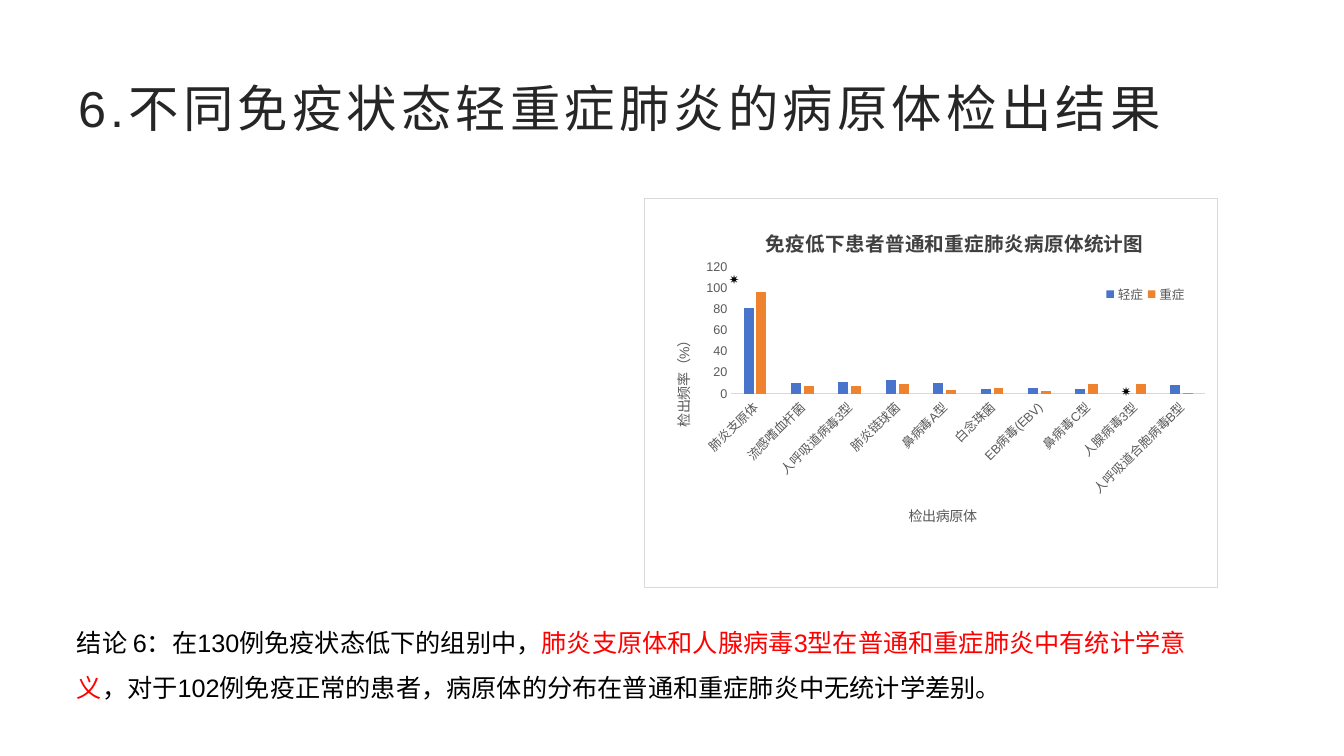
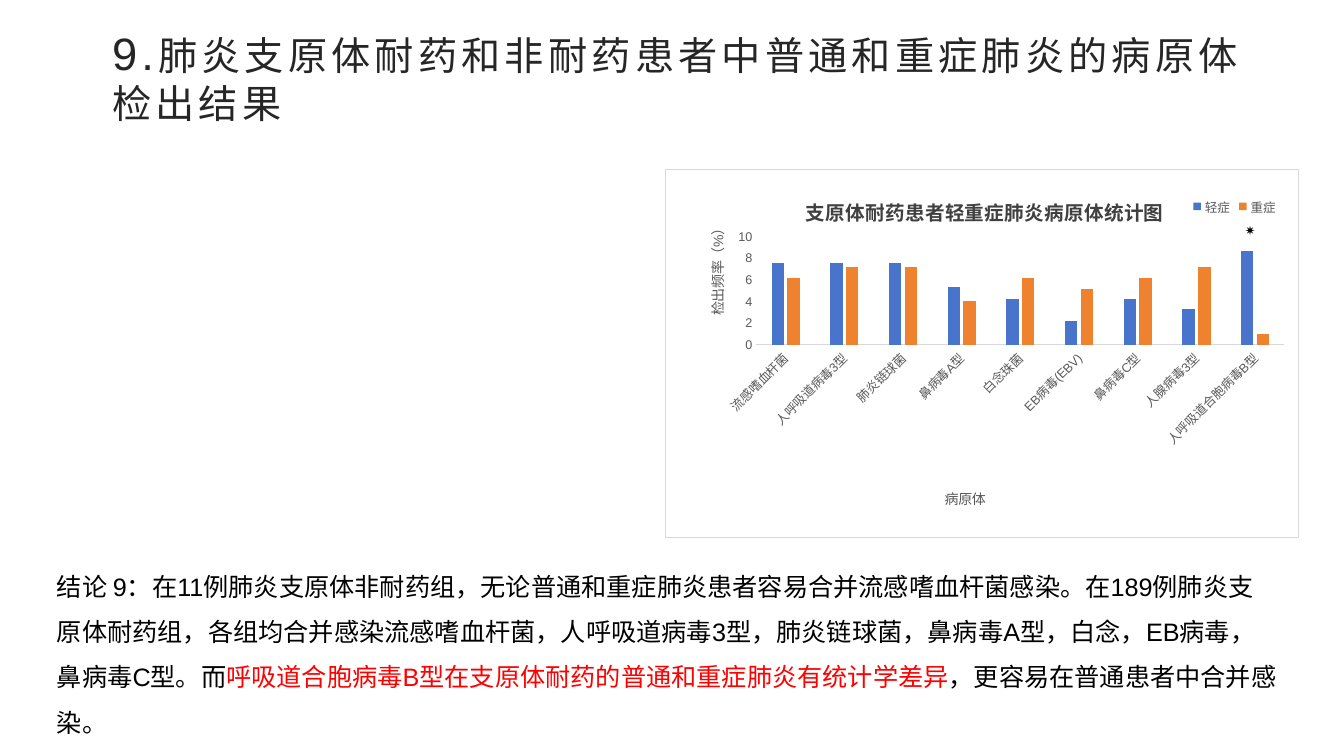
from lxml import etree
from pptx import Presentation
from pptx import util as u
from pptx.chart import data as chart_data
from pptx.dml.color import RGBColor
from pptx.enum import chart as charts, text
from pptx.oxml import parse_xml
from pptx.oxml.ns import nsdecls, qn

PX = 914400 / 100.8
paint = RGBColor.from_string
BLACK, RED, GREY, RULE = "000000", "FF0000", "595959", "D9D9D9"

TITLE = {"name": "Arial", "size": u.Pt(36), "bold": False, "color": "262626"}
BODY = {"name": "Arial", "size": u.Pt(18), "color": BLACK}
STAR = {"name": "Noto Sans CJK SC", "size": u.Pt(9), "color": BLACK}
CHART = {"name": "Arial", "size": u.Pt(10), "color": BLACK}
CHART_TITLE = {"name": "Arial", "size": u.Pt(14), "bold": True, "color": "404040"}
AXIS_TITLE = {"name": "Arial", "size": u.Pt(10), "bold": False, "color": GREY}
LABEL = {"name": "Arial", "size": u.Pt(9), "color": GREY}

PATHOGENS = ["肺炎支原体", "流感嗜血杆菌", "人呼吸道病毒3型", "肺炎链球菌", "鼻病毒A型",
             "白念珠菌", "EB病毒(EBV)", "鼻病毒C型", "人腺病毒3型", "人呼吸道合胞病毒B型"]
SERIES = {"轻症": "4874CB", "重症": "EE822F"}

PAGES = [
    {
        "title": [("6.不同免疫状态轻重症肺炎的病原体检出结果", {})],
        "title_frame": (68, 68, 1210, 78),
        "body": [
            ("结论 6：在130例免疫状态低下的组别中，", {}),
            ("肺炎支原体和人腺病毒3型在普通和重症肺炎中有统计学意义", {"color": RED}),
            ("，对于102例免疫正常的患者，病原体的分布在普通和重症肺炎中无统计学差别。", {}),
        ],
        "body_frame": (67, 607, 1151, 111),
        "chart_frame": (644, 198, 574, 390),
        "chart_title": "免疫低下患者普通和重症肺炎病原体统计图",
        "category_title": "检出病原体",
        "categories": PATHOGENS,
        "values": [(81, 10, 11, 13, 10, 5, 6, 5, 0, 8), (97, 7, 7, 9, 4, 6, 3, 9, 9, 1)],
        "scale": (120, 20),
        "layouts": {
            "c:chart/c:title": (762, 222),
            ".//c:catAx/c:title": (906, 502),
            ".//c:valAx/c:title": (669, 331),
            ".//c:legend": (1102, 284, 88, 20),
            ".//c:plotArea": (731, 267, 475, 127),
        },
        "stars": [(719, 267, 53, 40), (1111, 379, 53, 29)],
    },
    {
        "title": [
            ("9.", {"size": u.Pt(32.4)}),
            ("肺炎支原体耐药和非耐药患者中普通和重症肺炎的病原体检出结果", {"size": u.Pt(28)}),
        ],
        "title_frame": (102, 37, 1177, 78),
        "body": [
            ("结论 9：在11例肺炎支原体非耐药组，无论普通和重症肺炎患者容易合并流感嗜血杆菌感染。"
             "在189例肺炎支原体耐药组，各组均合并感染流感嗜血杆菌，人呼吸道病毒3型，肺炎链球菌，"
             "鼻病毒A型，白念，EB病毒，鼻病毒C型。而", {}),
            ("呼吸道合胞病毒B型在支原体耐药的普通和重症肺炎有统计学差异", {"color": RED}),
            ("，更容易在普通患者中合并感染。", {}),
        ],
        "body_frame": (47, 551, 1241, 183),
        "chart_frame": (665, 169, 634, 369),
        "chart_title": "支原体耐药患者轻重症肺炎病原体统计图",
        "category_title": "病原体",
        "categories": PATHOGENS[1:],
        "values": [(7.6, 7.6, 7.6, 5.4, 4.3, 2.2, 4.3, 3.3, 8.7),
                   (6.2, 7.2, 7.2, 4.1, 6.2, 5.2, 6.2, 7.2, 1)],
        "scale": (10, 2),
        "layouts": {
            "c:chart/c:title": (802, 191),
            ".//c:catAx/c:title": (942, 485),
            ".//c:valAx/c:title": (703, 219),
            ".//c:legend": (1189, 196, 92, 20),
            ".//c:plotArea": (756, 237, 529, 108),
        },
        "stars": [(1235, 218, 53, 40)],
    },
]


def format_font(font, style):
    for key, value in style.items():
        if key == "color":
            font.color.rgb = paint(value)
        else:
            setattr(font, key, value)


def place_part(part, area, frame):
    for old in part.findall(qn("c:layout")):
        part.remove(old)
    layout = parse_xml(f'<c:layout {nsdecls("c")}><c:manualLayout/></c:layout>')
    is_plot = part.tag == qn("c:plotArea")
    settings = [("layoutTarget", "inner")] if is_plot else []
    settings += [("xMode", "edge"), ("yMode", "edge")]
    settings += [("x", (area[0] - frame[0]) / frame[2]), ("y", (area[1] - frame[1]) / frame[3])]
    if len(area) == 4:
        settings += [("w", area[2] / frame[2]), ("h", area[3] / frame[3])]
    for name, value in settings:
        etree.SubElement(layout[0], qn(f"c:{name}")).set("val", str(value))
    if is_plot:
        part.insert(0, layout)
    else:
        part.find(qn("c:overlay")).addprevious(layout)


deck = Presentation()
deck.slide_width, deck.slide_height = round(1344 * PX), round(756 * PX)

for content in PAGES:
    page = deck.slides.add_slide(deck.slide_layouts[5])

    heading = page.shapes.title
    for side, length in zip(("left", "top", "width", "height"), content["title_frame"]):
        setattr(heading, side, round(length * PX))
    heading.text_frame.vertical_anchor = text.MSO_ANCHOR.MIDDLE

    frame = content["chart_frame"]
    table = chart_data.CategoryChartData()
    table.categories = content["categories"]
    for name, values in zip(SERIES, content["values"]):
        table.add_series(name, values)
    chart = page.shapes.add_chart(
        charts.XL_CHART_TYPE.COLUMN_CLUSTERED, *(round(n * PX) for n in frame), table).chart
    format_font(chart.font, CHART)

    plot = chart.plots[0]
    plot.gap_width, plot.overlap, plot.vary_by_categories = 246, -28, False
    for series, color in zip(plot.series, SERIES.values()):
        series.format.fill.solid()
        series.format.fill.fore_color.rgb = paint(color)
        series.invert_if_negative = False

    category_axis, value_axis = chart.category_axis, chart.value_axis
    for owner, label, style in (
            (chart, content["chart_title"], CHART_TITLE),
            (category_axis, content["category_title"], AXIS_TITLE),
            (value_axis, "检出频率（%）", AXIS_TITLE)):
        owner.has_title = True
        title = owner.chart_title if owner is chart else owner.axis_title
        span = title.text_frame.paragraphs[0].add_run()
        span.text = label
        format_font(span.font, style)
    for axis in (category_axis, value_axis):
        axis.has_major_gridlines = False
        axis.major_tick_mark = axis.minor_tick_mark = charts.XL_TICK_MARK.NONE
        format_font(axis.tick_labels.font, LABEL)
    category_axis.format.line.color.rgb = paint(RULE)
    category_axis.format.line.width = u.Pt(0.75)
    value_axis.format.line.fill.background()
    value_axis.minimum_scale = 0
    value_axis.maximum_scale, value_axis.major_unit = content["scale"]

    chart.has_legend = True
    chart.legend.position = charts.XL_LEGEND_POSITION.BOTTOM
    chart.legend.include_in_layout = False
    format_font(chart.legend.font, LABEL)

    root = chart.element
    for query, angle in ((".//c:catAx/c:txPr/a:bodyPr", -45),
                         (".//c:valAx/c:title//a:bodyPr", -90)):
        properties = root.xpath(query)[0]
        properties.set("rot", str(angle * 60000))
        properties.set("vert", "horz")
    for query, area in content["layouts"].items():
        place_part(root.xpath(query)[0], area, frame)
    root.find(qn("c:chart")).addnext(parse_xml(
        f'<c:spPr {nsdecls("c", "a")}><a:solidFill><a:srgbClr val="FFFFFF"/></a:solidFill>'
        f'<a:ln w="9525"><a:solidFill><a:srgbClr val="{RULE}"/></a:solidFill></a:ln></c:spPr>'))

    texts = [(heading, content["title"], TITLE, True, 1.0)]
    boxes = [(content["body_frame"], content["body"], BODY, True, 1.5)]
    boxes += [(area, [("✷", {})], STAR, False, 1.0) for area in content["stars"]]
    for area, spans, style, wrap, spacing in boxes:
        box = page.shapes.add_textbox(*(round(n * PX) for n in area))
        texts.append((box, spans, style, wrap, spacing))
    for box, spans, style, wrap, spacing in texts:
        box.text_frame.word_wrap = wrap
        box.text_frame.auto_size = text.MSO_AUTO_SIZE.NONE
        para = box.text_frame.paragraphs[0]
        para.alignment = text.PP_ALIGN.LEFT
        para.line_spacing = spacing
        for wording, changes in spans:
            span = para.add_run()
            span.text = wording
            format_font(span.font, {**style, **changes})
            if box is heading:
                span.font._element.set("spc", "300") if hasattr(span.font, "_element") else \
                    span._r.get_or_add_rPr().set("spc", "300")

deck.save("out.pptx")
